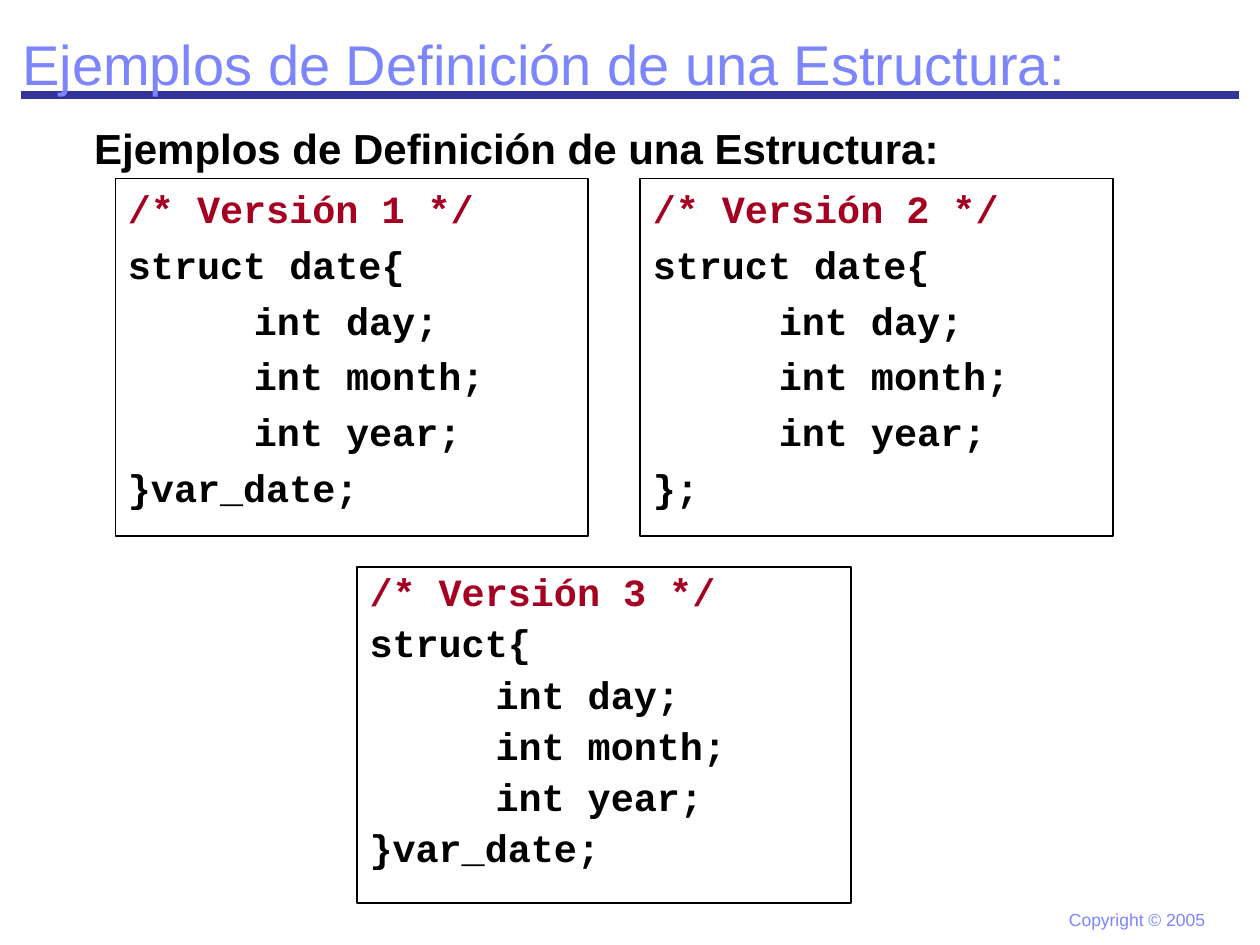
from dataclasses import dataclass

from lxml.etree import SubElement
from pptx import Presentation
from pptx.dml.color import RGBColor
from pptx.enum.shapes import MSO_CONNECTOR, MSO_SHAPE
from pptx.enum.text import MSO_ANCHOR, MSO_AUTO_SIZE, PP_ALIGN
from pptx.oxml.ns import qn
from pptx.util import Cm, Pt


@dataclass(frozen=True)
class Theme:
    """Colours, fonts and type sizes of the slide."""

    accent: RGBColor = RGBColor(0x7C, 0x85, 0xFC)
    rule: RGBColor = RGBColor(0x33, 0x33, 0x99)
    comment: RGBColor = RGBColor(0xA5, 0x00, 0x21)
    ink: RGBColor = RGBColor(0, 0, 0)
    text_font: str = "Arial"
    code_font: str = "Courier New"
    title_size: int = 32
    subtitle_size: int = 24
    code_size: int = 22
    footer_size: int = 10


THEME = Theme()
HEADING = "Ejemplos de Definición de una Estructura:"
FIELDS = ["\tint day;", "\tint month;", "\tint year;"]


def format_paragraph(para, font, size, color, bold=False):
    """Align a paragraph left and format its runs."""
    para.alignment = PP_ALIGN.LEFT
    for span in para.runs:
        span.font.name = font
        span.font.size = Pt(size)
        span.font.bold = bold
        span.font.color.rgb = color


def set_tab_stop(para, position):
    """Give a paragraph one left tab stop."""
    tabs = SubElement(para._p.get_or_add_pPr(), qn("a:tabLst"))
    SubElement(tabs, qn("a:tab"), pos=str(position), algn="l")


def set_frame(frame, wrap=True, anchor=MSO_ANCHOR.TOP):
    """Set insets, wrapping and anchor of a text frame."""
    frame.auto_size = MSO_AUTO_SIZE.NONE
    frame.word_wrap = wrap
    frame.vertical_anchor = anchor
    frame.margin_left = frame.margin_right = Cm(0.25)
    frame.margin_top = frame.margin_bottom = Cm(0.13)


def add_title(page, text):
    """Fill and place the title placeholder."""
    title = page.shapes.title
    title.left, title.top = Cm(0.2), Cm(0.43)
    title.width, title.height = Cm(23.5), Cm(1.7)
    title.text_frame.text = text
    set_frame(title.text_frame, anchor=MSO_ANCHOR.MIDDLE)
    format_paragraph(title.text_frame.paragraphs[0], THEME.text_font,
                     THEME.title_size, THEME.accent)


def add_title_rule(page):
    """Draw the thick rule behind the title."""
    rule = page.shapes.add_connector(
        MSO_CONNECTOR.STRAIGHT, Cm(0.43), Cm(1.91), Cm(24.97), Cm(1.91))
    rule.line.color.rgb = THEME.rule
    rule.line.width = Pt(4.5)
    SubElement(rule.element.spPr, qn("a:effectLst"))
    page.shapes.title.element.addprevious(rule.element)


def add_label(page, text, left, top, width, height, size, color,
              bold=False, wrap=True):
    """Add a one-line text box."""
    box = page.shapes.add_textbox(Cm(left), Cm(top), Cm(width), Cm(height))
    box.text_frame.text = text
    set_frame(box.text_frame, wrap)
    format_paragraph(box.text_frame.paragraphs[0], THEME.text_font, size,
                     color, bold)


def add_code_box(page, lines, left, top, width, height, line_spacing=1.0):
    """Add an outlined listing whose first line is a coloured comment."""
    box = page.shapes.add_shape(
        MSO_SHAPE.RECTANGLE, Cm(left), Cm(top), Cm(width), Cm(height))
    box.shadow.inherit = False
    box.fill.background()
    box.line.color.rgb = THEME.ink
    box.line.width = Pt(1)
    frame = box.text_frame
    frame.text = "\n".join(lines)
    set_frame(frame)
    for number, para in enumerate(frame.paragraphs):
        para.line_spacing = line_spacing
        para.space_before = Pt(5.5 if number else 0)
        set_tab_stop(para, Cm(2.54))
        format_paragraph(para, THEME.code_font, THEME.code_size,
                         THEME.ink if number else THEME.comment, bold=True)


def main():
    """Build the slide and save the deck."""
    deck = Presentation()
    deck.slide_width, deck.slide_height = Cm(25.4), Cm(19.05)
    page = deck.slides.add_slide(deck.slide_layouts[5])
    add_title(page, HEADING)
    add_title_rule(page)
    add_label(page, HEADING, 1.65, 2.34, 19.1, 1.27, THEME.subtitle_size,
              THEME.ink, bold=True)
    add_code_box(page, ["/* Versión 1 */", "struct date{", *FIELDS,
                        "}var_date;"], 2.33, 3.6, 9.53, 7.2)
    add_code_box(page, ["/* Versión 2 */", "struct date{", *FIELDS, "};"],
                 12.91, 3.6, 9.53, 7.2)
    add_code_box(page, ["/* Versión 3 */", "struct{", *FIELDS, "}var_date;"],
                 7.2, 11.43, 9.95, 6.77, line_spacing=0.9)
    add_label(page, "Copyright © 2005", 21.3, 18.2, 3.25, 0.69,
              THEME.footer_size, THEME.accent, wrap=False)
    deck.save("out.pptx")


if __name__ == "__main__":
    main()
